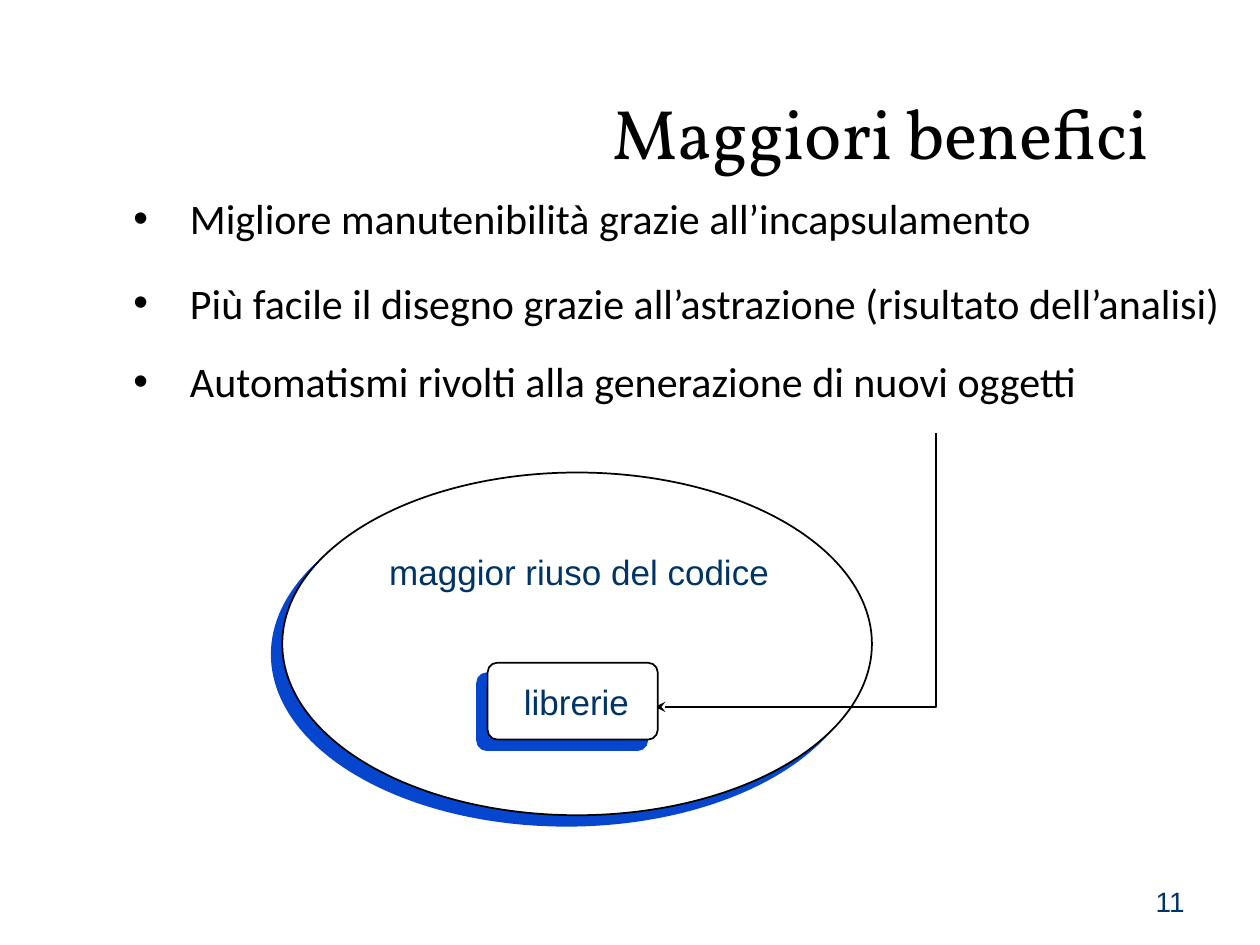
from lxml import etree
from pptx import Presentation
from pptx.dml.color import RGBColor
from pptx.enum.shapes import MSO_SHAPE as Shape
from pptx.enum.text import MSO_ANCHOR as Anchor, MSO_AUTO_SIZE as AutoSize, PP_ALIGN as Align
from pptx.oxml.ns import qn
from pptx.util import Inches, Pt

COLORS = {"black": "000000", "white": "FFFFFF", "navy": "003366", "shadow": "0646CF"}

TITLE = {"size": 40, "font": "Vollkorn", "color": "black", "align": Align.CENTER,
         "anchor": Anchor.MIDDLE}
BODY = {"size": 24, "font": "Calibri", "color": "black", "bullet": "•"}
LABEL = {"size": 20, "font": "Arial", "color": "navy", "wrap": False}
NUMBER = {"size": 16, "font": "Arial", "color": "navy", "align": Align.RIGHT,
          "anchor": Anchor.MIDDLE}

# Each paragraph: text, space before in points
BENEFITS = [
    ("Migliore manutenibilità grazie all’incapsulamento", 0),
    ("Più facile il disegno grazie all’astrazione (risultato dell’analisi)", 19.5),
    ("Automatismi rivolti alla generazione di nuovi oggetti", 16.2),
]
REUSE_ELLIPSE = (2.24, 3.75, 4.68, 2.72)
LIBRARY_BOX = (3.87, 5.26, 1.35, 0.61)
ARROW_POINTS = [(7.43, 3.44), (7.43, 5.61), (5.2, 5.61)]
BULLET_INDENT = 0.45

TEXTS = [
    ((7.17, 6.95, 2.33, 0.4), [("11", 0)], NUMBER),
    ((0.96, 1.48, 9.04, 4.85), BENEFITS, BODY),
    ((3.98, 0.68, 6.02, 0.72), [("Maggiori benefici", 0)], TITLE),
    ((2.99, 4.32, 3.22, 0.43), [("maggior riuso del codice", 0)], LABEL),
]
LIBRARY_TEXT = ((4.06, 5.35, 1.1, 0.43), [("librerie", 0)], LABEL)


def rgb(name):
    return RGBColor.from_string(COLORS[name])


def add_bullet(paragraph, character):
    properties = paragraph._p.get_or_add_pPr()
    properties.set("marL", str(Inches(BULLET_INDENT)))
    properties.set("indent", str(-Inches(BULLET_INDENT)))
    etree.SubElement(properties, qn("a:buFont"), typeface="Arial")
    etree.SubElement(properties, qn("a:buChar"), char=character)


def add_text(slide, box, paragraphs, style):
    frame = slide.shapes.add_textbox(*map(Inches, box)).text_frame
    frame.word_wrap = style.get("wrap", True)
    frame.auto_size = AutoSize.NONE
    frame.vertical_anchor = style.get("anchor", Anchor.TOP)
    for index, (text, space_before) in enumerate(paragraphs):
        paragraph = frame.add_paragraph() if index else frame.paragraphs[0]
        paragraph.alignment = style.get("align", Align.LEFT)
        if space_before:
            paragraph.space_before = Pt(space_before)
        if "bullet" in style:
            add_bullet(paragraph, style["bullet"])
        run = paragraph.add_run()
        run.text = text
        font_values = {"size": Pt(style["size"]), "name": style["font"]}
        for attribute, value in font_values.items():
            setattr(run.font, attribute, value)
        run.font.color.rgb = rgb(style["color"])


def set_outline(shape):
    shape.line.color.rgb = rgb("black")
    shape.line.width = Pt(1)
    shape.shadow.inherit = False


def add_shadowed_shape(slide, kind, box):
    """White outlined shape with a hard shadow to the lower left."""
    shape = slide.shapes.add_shape(kind, *map(Inches, box))
    shape.fill.solid()
    shape.fill.fore_color.rgb = rgb("white")
    set_outline(shape)
    effects = shape._element.spPr.find(qn("a:effectLst"))
    shadow = etree.SubElement(effects, qn("a:outerShdw"), blurRad="0", dist=str(Pt(8.5)),
                              dir=str(135 * 60000), algn="ctr", rotWithShape="0")
    etree.SubElement(shadow, qn("a:srgbClr"), val=COLORS["shadow"])
    return shape


def add_bent_arrow(slide, points):
    start, *others = [(Inches(x), Inches(y)) for x, y in points]
    builder = slide.shapes.build_freeform(*start)
    builder.add_line_segments(others, close=False)
    arrow = builder.convert_to_shape()
    arrow.fill.background()
    set_outline(arrow)
    etree.SubElement(arrow.line._get_or_add_ln(), qn("a:tailEnd"), type="stealth")


def main():
    presentation = Presentation()
    presentation.slide_width, presentation.slide_height = Inches(10), Inches(7.5)
    slide = presentation.slides.add_slide(presentation.slide_layouts[6])

    add_shadowed_shape(slide, Shape.OVAL, REUSE_ELLIPSE)
    for box, paragraphs, style in TEXTS:
        add_text(slide, box, paragraphs, style)
    add_bent_arrow(slide, ARROW_POINTS)
    library = add_shadowed_shape(slide, Shape.ROUNDED_RECTANGLE, LIBRARY_BOX)
    library.adjustments[0] = 0.125
    add_text(slide, *LIBRARY_TEXT)

    presentation.save("out.pptx")


if __name__ == "__main__":
    main()
